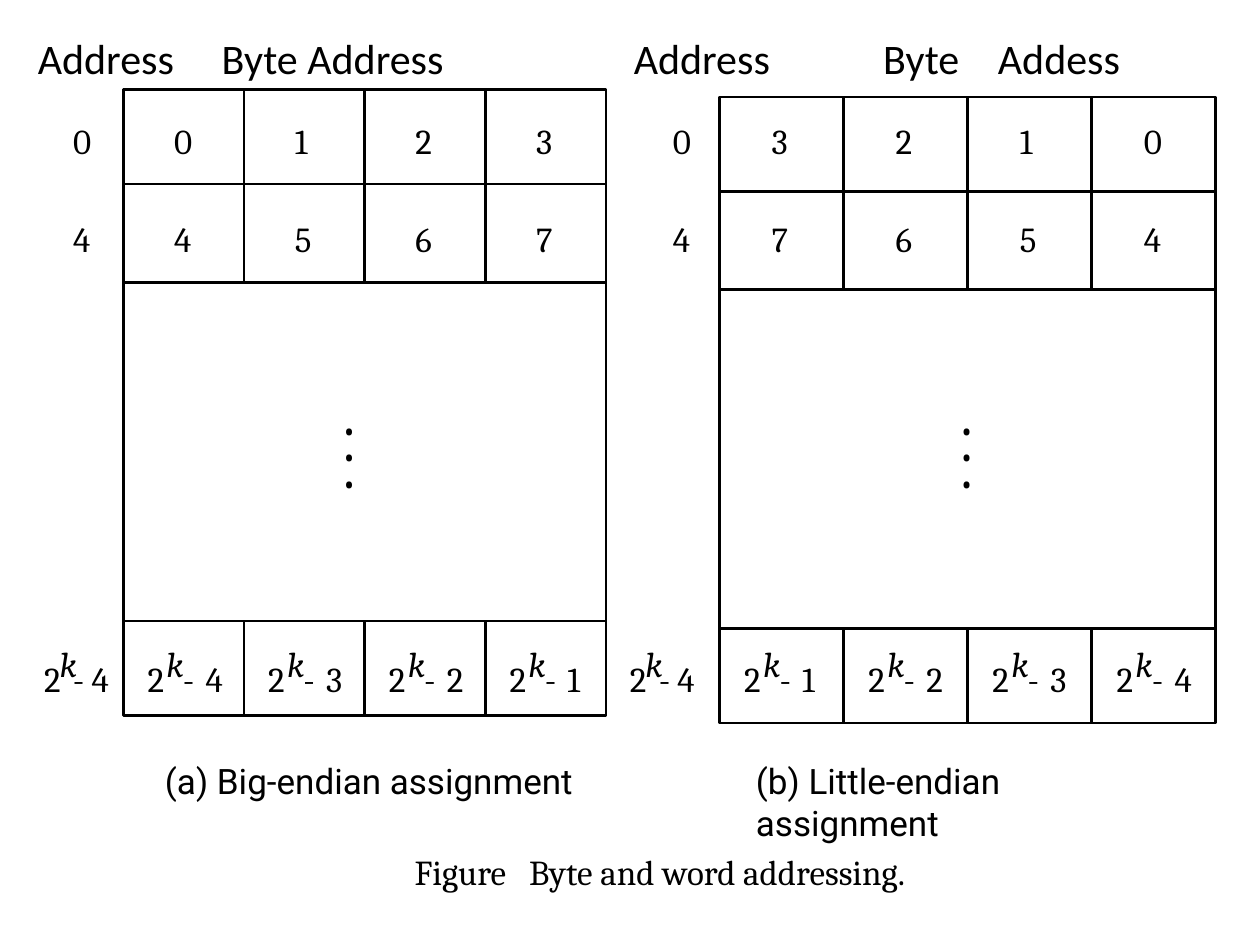
from lxml import etree
from pptx import Presentation
from pptx import util as u
from pptx.dml.color import RGBColor
from pptx.enum import shapes
from pptx.oxml.ns import qn

COLORS = {"ink": "000000"}
COLS = 4
BOX_H = 4.97
ROW_LINES = (0.75, 1.53, 4.22)
ROW_TEXT = (0.95, 1.73, 5.22)
INK = RGBColor.from_string(COLORS["ink"])


def add_text(s, x, y, w, lines, font="Cambria", size=20, italic=False,
             tabs=(), spacing=None, h=0.34):
    tf = s.shapes.add_textbox(*map(u.Inches, (x, y, w, h))).text_frame
    tf.margin_left = tf.margin_right = tf.margin_top = tf.margin_bottom = 0
    tf.word_wrap = True
    for i, line in enumerate(lines):
        p = tf.add_paragraph() if i else tf.paragraphs[0]
        p.add_run().text = line
        if tabs:
            tab_list = etree.SubElement(p._p.get_or_add_pPr(), qn("a:tabLst"))
            for pos in tabs:
                etree.SubElement(tab_list, qn("a:tab"),
                                 pos=str(u.Inches(pos)), algn="l")
        if spacing:
            p.line_spacing = u.Pt(spacing)
        p.font.name, p.font.size, p.font.italic = font, u.Pt(size), italic
        p.font.color.rgb = INK


def add_line(s, x1, y1, x2, y2):
    line = s.shapes.add_connector(shapes.MSO_CONNECTOR.STRAIGHT,
                                  *map(u.Inches, (x1, y1, x2, y2)))
    line.line.color.rgb = INK
    line.line.width = u.Pt(1.5)
    etree.SubElement(line._element.spPr, qn("a:effectLst"))


def add_frame(s, x, y, w):
    sp = s.shapes.add_shape(shapes.MSO_SHAPE.RECTANGLE,
                            *map(u.Inches, (x, y, w, BOX_H)))
    sp.shadow.inherit = False
    sp.fill.background()
    sp.line.color.rgb = INK
    sp.line.width = u.Pt(1.5)
    for dy in ROW_LINES:
        add_line(s, x, y + dy, x + w, y + dy)
    for col in range(1, COLS):
        cx = x + col * w / COLS
        add_line(s, cx, y, cx, y + ROW_LINES[1])
        add_line(s, cx, y + ROW_LINES[2], cx, y + BOX_H)


def add_power(s, x, digit, scale=1.0):
    y = ROW_TEXT[2]
    parts = (("2", 0, 0), ("k", 0.15, -0.12), ("-", 0.28, 0), (digit, 0.46, 0))
    for char, dx, dy in parts:
        add_text(s, x + dx * scale, y + dy, 0.23, [char], italic=char == "k")


def add_memory(s, x, y, w, rows, label_x, power_x, dots_x):
    add_frame(s, x, y, w)
    col_w = w / COLS
    for label, top, digits in zip("04", ROW_TEXT, rows):
        add_text(s, label_x, top, 0.23, [label])
        for col, digit in enumerate(digits):
            add_text(s, x + (col + 0.42) * col_w, top, 0.23, [digit])
    add_power(s, power_x, "4", 0.82)
    for col, digit in enumerate(rows[2]):
        add_power(s, x + (col + 0.2) * col_w, digit)
    add_text(s, dots_x, 3.36, 0.23, ["•"] * 3, spacing=15, h=0.63)


def main():
    prs = Presentation()
    prs.slide_width, prs.slide_height = u.Inches(10), u.Inches(7.5)
    s = prs.slides.add_slide(prs.slide_layouts[6])
    add_memory(s, 0.98, 0.71, 3.83, ("0123", "4567", "4321"), 0.58, 0.35, 2.71)
    add_memory(s, 5.71, 0.77, 3.94, ("3210", "7654", "1234"), 5.34, 5.0, 7.61)
    add_text(s, 0.3, 0.26, 8.85,
             ["Address\tByte Address\tAddress\tByte\tAddess"],
             font="Calibri", size=24, tabs=(1.46, 4.73, 6.71, 7.62), h=0.4)
    add_text(s, 1.31, 6.03, 3.5, ["(a) Big-endian assignment"], font="Roboto")
    add_text(s, 6, 6.03, 2.6, ["(b) Little-endian assignment"], font="Roboto")
    add_text(s, 3.29, 6.75, 4.35, ["Figure\tByte and word addressing."],
             tabs=(0.91,))
    prs.save("out.pptx")


if __name__ == "__main__":
    main()
